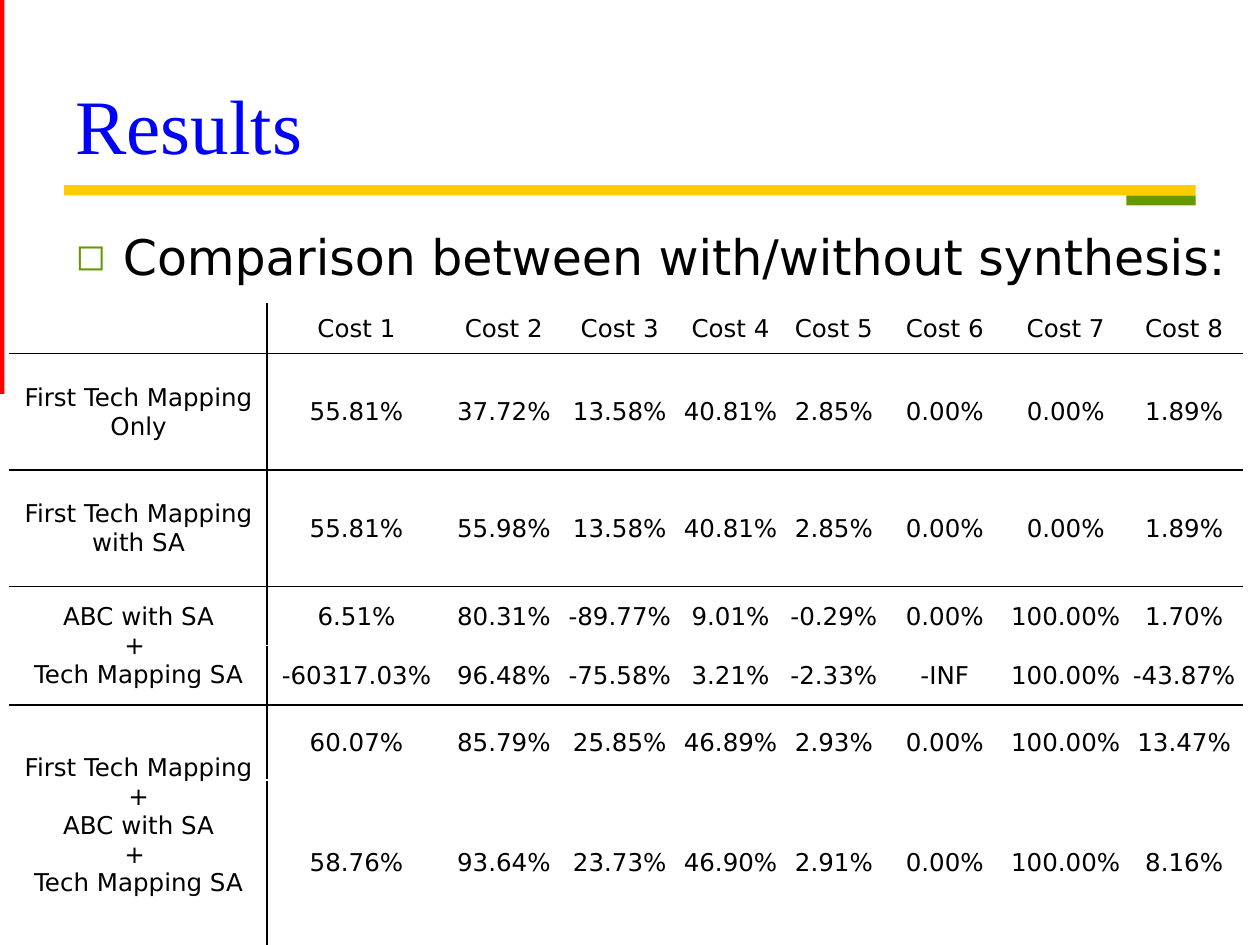
from lxml.etree import SubElement
from pptx import Presentation
from pptx.dml.color import RGBColor
from pptx.enum.shapes import MSO_SHAPE
from pptx.enum.text import MSO_ANCHOR, PP_ALIGN
from pptx.oxml.ns import qn
from pptx.util import Inches, Pt

GRID_COLUMNS, GRID_ROWS = 100, 75
SLIDE_WIDTH, SLIDE_HEIGHT = Inches(10), Inches(7.5)
SANS, SERIF = "DejaVu Sans", "Times New Roman"
BLACK, WHITE, BLUE = "000000", "FFFFFF", "0000FF"
GREEN, RED, YELLOW = "669900", "FF0000", "FFCC00"

BARS = [
    (89.4, 15.5, 5.5, 0.8, 0, GREEN),
    (-15.8, 15.1, 31.5, 0.8, 270, RED),
    (5.1, 14.7, 89.8, 0.8, 0, YELLOW),
]
COLUMN_WIDTHS = [20.4, 14.2, 9.2, 9.2, 8.4, 8, 9.6, 9.6, 9.2]
ROW_HEIGHTS = [3.95, 9.25, 9.25, 4.7, 4.7, 5.95, 13.15]
BLACK_ROW_EDGES = {1, 2, 3, 5}
BLACK_COLUMN_EDGES = {1}
MERGED_LABEL_ROWS = [(3, 4), (5, 6)]
RESULTS = [
    [""] + [f"Cost {number}" for number in range(1, 9)],
    ["First Tech Mapping\vOnly", "55.81%", "37.72%", "13.58%", "40.81%",
     "2.85%", "0.00%", "0.00%", "1.89%"],
    ["First Tech Mapping\vwith SA", "55.81%", "55.98%", "13.58%", "40.81%",
     "2.85%", "0.00%", "0.00%", "1.89%"],
    ["ABC with SA\v+ \vTech Mapping SA", "6.51%", "80.31%", "-89.77%", "9.01%",
     "-0.29%", "0.00%", "100.00%", "1.70%"],
    ["", "-60317.03%", "96.48%", "-75.58%", "3.21%",
     "-2.33%", "-INF", "100.00%", "-43.87%"],
    ["First Tech Mapping\v+\vABC with SA\v+ \vTech Mapping SA", "60.07%", "85.79%",
     "25.85%", "46.89%", "2.93%", "0.00%", "100.00%", "13.47%"],
    ["", "58.76%", "93.64%", "23.73%", "46.90%",
     "2.91%", "0.00%", "100.00%", "8.16%"],
]


def color(hex_string):
    """Turn a hex string into a colour."""
    return RGBColor.from_string(hex_string)


def across(columns):
    """Give the width of a number of grid columns."""
    return round(SLIDE_WIDTH * columns / GRID_COLUMNS)


def down(rows):
    """Give the height of a number of grid rows."""
    return round(SLIDE_HEIGHT * rows / GRID_ROWS)


def area(left, top, width, height):
    """Turn a grid area into slide lengths."""
    return across(left), down(top), across(width), down(height)


def format_text(para, font, size, hex_string):
    """Format every run of a paragraph."""
    for span in para.runs:
        span.font.name = font
        span.font.size = Pt(size)
        span.font.color.rgb = color(hex_string)


def fill_placeholder(box, text, place, font, size, hex_string):
    """Move a placeholder, write its text and return the paragraph."""
    box.left, box.top, box.width, box.height = area(*place)
    box.text_frame.text = text
    para = box.text_frame.paragraphs[0]
    para.alignment = PP_ALIGN.LEFT
    format_text(para, font, size, hex_string)
    return para


def add_bullet(para, character, hex_string, percent):
    """Give a paragraph a coloured bullet."""
    properties = para._p.get_or_add_pPr()
    bullet_color = SubElement(properties, qn("a:buClr"))
    SubElement(bullet_color, qn("a:srgbClr"), val=hex_string)
    SubElement(properties, qn("a:buSzPct"), val=str(percent * 1000))
    SubElement(properties, qn("a:buFont"), typeface=SANS)
    SubElement(properties, qn("a:buChar"), char=character)


def add_bar(page, left, top, width, height, rotation, hex_string):
    """Add a plain coloured bar."""
    bar = page.shapes.add_shape(MSO_SHAPE.RECTANGLE, *area(left, top, width, height))
    bar.rotation = rotation
    bar.shadow.inherit = False
    bar.fill.solid()
    bar.fill.fore_color.rgb = color(hex_string)
    bar.line.fill.background()


def add_border(cell, side, is_black):
    """Draw one side of a cell in black or white."""
    line = SubElement(cell._tc.get_or_add_tcPr(), qn(f"a:ln{side}"), w=str(Pt(1)))
    fill = SubElement(line, qn("a:solidFill"))
    SubElement(fill, qn("a:srgbClr"), val=BLACK if is_black else WHITE)


def fill_cell(cell, text, row, column):
    """Write one table cell with its borders and background."""
    bottom = row + (cell.span_height if cell.is_merge_origin else 1)
    add_border(cell, "L", column in BLACK_COLUMN_EDGES)
    add_border(cell, "R", column + 1 in BLACK_COLUMN_EDGES)
    add_border(cell, "T", row in BLACK_ROW_EDGES)
    add_border(cell, "B", bottom in BLACK_ROW_EDGES)
    cell.fill.solid()
    cell.fill.fore_color.rgb = color(WHITE)
    cell.vertical_anchor = MSO_ANCHOR.MIDDLE
    cell.margin_left = cell.margin_right = cell.margin_top = Inches(0.01)
    cell.margin_bottom = 0
    cell.text_frame.text = text
    para = cell.text_frame.paragraphs[0]
    para.alignment = PP_ALIGN.CENTER
    para.font.size = Pt(14)
    format_text(para, SANS, 14, BLACK)


def add_results_table(page):
    """Add the table of cost results."""
    place = area(0.8, 24.1, sum(COLUMN_WIDTHS), sum(ROW_HEIGHTS))
    table = page.shapes.add_table(len(RESULTS), len(COLUMN_WIDTHS), *place).table
    for column, width in zip(table.columns, COLUMN_WIDTHS):
        column.width = across(width)
    for row, height in zip(table.rows, ROW_HEIGHTS):
        row.height = down(height)
    for first, last in MERGED_LABEL_ROWS:
        table.cell(first, 0).merge(table.cell(last, 0))
    for row, texts in enumerate(RESULTS):
        for column, text in enumerate(texts):
            fill_cell(table.cell(row, column), text, row, column)


def main():
    """Build the results slide and save it."""
    deck = Presentation()
    deck.slide_width, deck.slide_height = SLIDE_WIDTH, SLIDE_HEIGHT
    page = deck.slides.add_slide(deck.slide_layouts[1])
    title, body = page.placeholders
    heading = fill_placeholder(title, "Results", (5, 1.4, 90, 12.5), SERIF, 44, BLUE)
    heading.line_spacing = 0.8
    title.text_frame.vertical_anchor = MSO_ANCHOR.BOTTOM
    item = fill_placeholder(body, "Comparison between with/without synthesis:",
                            (5, 17.5, 95.4, 49.5), SANS, 28, BLACK)
    add_bullet(item, "◻", GREEN, 75)
    for bar in BARS:
        add_bar(page, *bar)
    add_results_table(page)
    deck.save("out.pptx")


if __name__ == "__main__":
    main()
